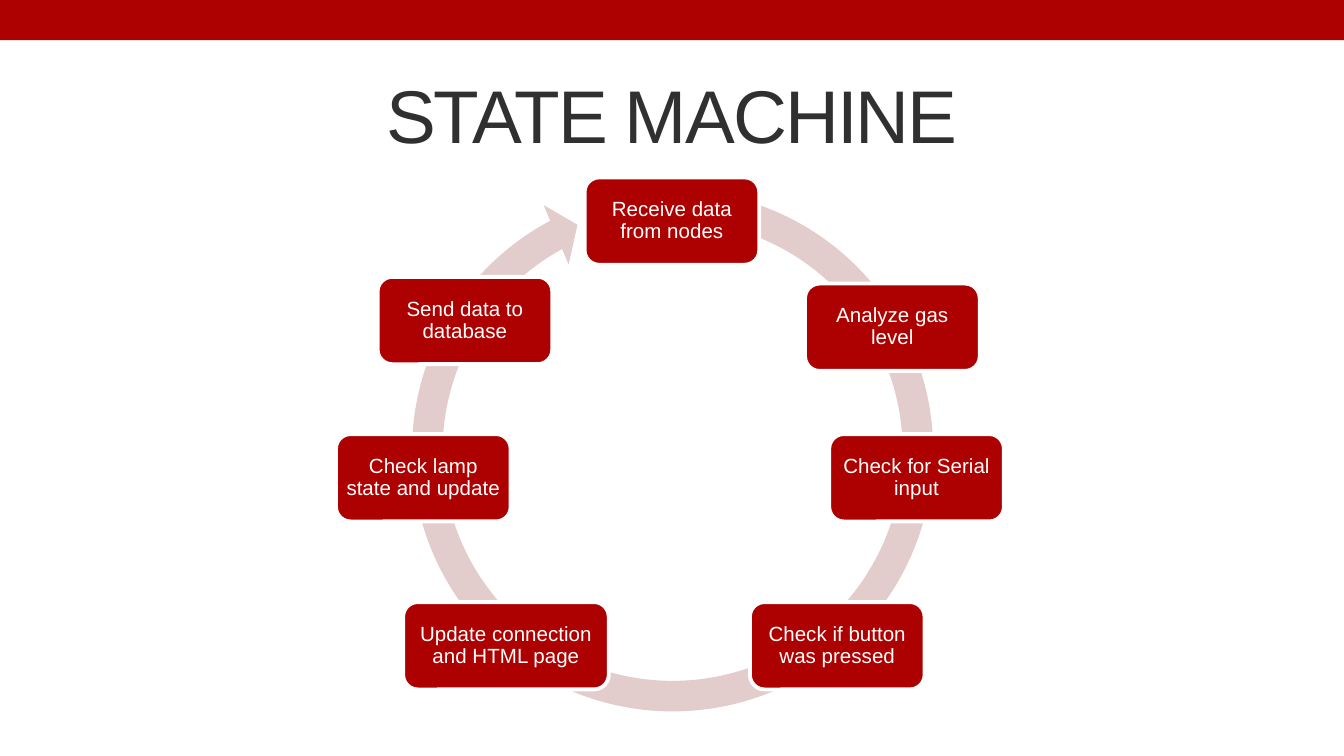
from dataclasses import dataclass

from pptx import Presentation
from pptx.dml.color import RGBColor
from pptx.enum.shapes import MSO_SHAPE
from pptx.enum.text import MSO_ANCHOR, PP_ALIGN
from pptx.shapes.autoshape import Shape
from pptx.slide import Slide
from pptx.text.text import TextFrame, _Paragraph
from pptx.util import Inches, Pt

RED = "AD0101"
PINK = "E3CCCC"
WHITE = "FFFFFF"
DARK = "303030"
STATE_HEIGHT = 0.65


@dataclass(frozen=True)
class State:
    label: str
    left: float
    top: float
    width: float = 1.3


STATES = [
    State("Receive data from nodes", 4.35, 1.32),
    State("Analyze gas level", 5.99, 2.11),
    State("Check for Serial input", 6.17, 3.23),
    State("Check if button was pressed", 5.58, 4.48),
    State("Update connection and HTML page", 3, 4.48, 1.53),
    State("Check lamp state and update", 2.5, 3.23),
    State("Send data to database", 2.81, 2.06),
]


def color(value: str) -> RGBColor:
    return RGBColor.from_string(value)


def write(tf: TextFrame, text: str, size: float, fill: str, inset: float) -> _Paragraph:
    formats = {
        "word_wrap": True,
        "vertical_anchor": MSO_ANCHOR.MIDDLE,
        "margin_left": Inches(inset),
        "margin_right": Inches(inset),
        "margin_top": Inches(inset),
        "margin_bottom": Inches(inset),
    }
    for name, value in formats.items():
        setattr(tf, name, value)
    p = tf.paragraphs[0]
    p.alignment = PP_ALIGN.CENTER
    r = p.add_run()
    r.text = text
    for name, value in {"name": "Arial", "size": Pt(size)}.items():
        setattr(r.font, name, value)
    r.font.color.rgb = color(fill)
    return p


def add_filled(s: Slide, kind: MSO_SHAPE, left: float, top: float,
               width: float, height: float, fill: str) -> Shape:
    sp = s.shapes.add_shape(kind, Inches(left), Inches(top), Inches(width), Inches(height))
    sp.shadow.inherit = False
    sp.fill.solid()
    sp.fill.fore_color.rgb = color(fill)
    sp.line.fill.background()
    return sp


def add_title(s: Slide, text: str) -> None:
    sp = s.shapes.add_textbox(Inches(0.5), Inches(0.44), Inches(9), Inches(0.81))
    p = write(sp.text_frame, text, 40, DARK, 0.05)
    p.runs[0].font._element.set("spc", "-100")


def add_cycle_arrow(s: Slide) -> None:
    sp = add_filled(s, MSO_SHAPE.CIRCULAR_ARROW, 2.94, 1.29, 4.13, 4.13, PINK)
    for i, value in enumerate((0.055, 3.307, 145.002, 169.592, 0.058)):
        sp.adjustments[i] = value


def add_state(s: Slide, state: State) -> None:
    sp = add_filled(s, MSO_SHAPE.ROUNDED_RECTANGLE, state.left, state.top,
                    state.width, STATE_HEIGHT, RED)
    sp.line.color.rgb = color(WHITE)
    sp.line.width = Pt(2.08)
    p = write(sp.text_frame, state.label, 11, WHITE, 0.04)
    p.line_spacing = 0.9


def main() -> None:
    prs = Presentation()
    prs.slide_width = Inches(10)
    prs.slide_height = Inches(10 * 9 / 16)
    s = prs.slides.add_slide(prs.slide_layouts[6])
    add_filled(s, MSO_SHAPE.RECTANGLE, 0, 0, 10, 0.3, RED)
    add_title(s, "STATE MACHINE")
    add_cycle_arrow(s)
    for state in STATES:
        add_state(s, state)
    prs.save("out.pptx")


if __name__ == "__main__":
    main()
